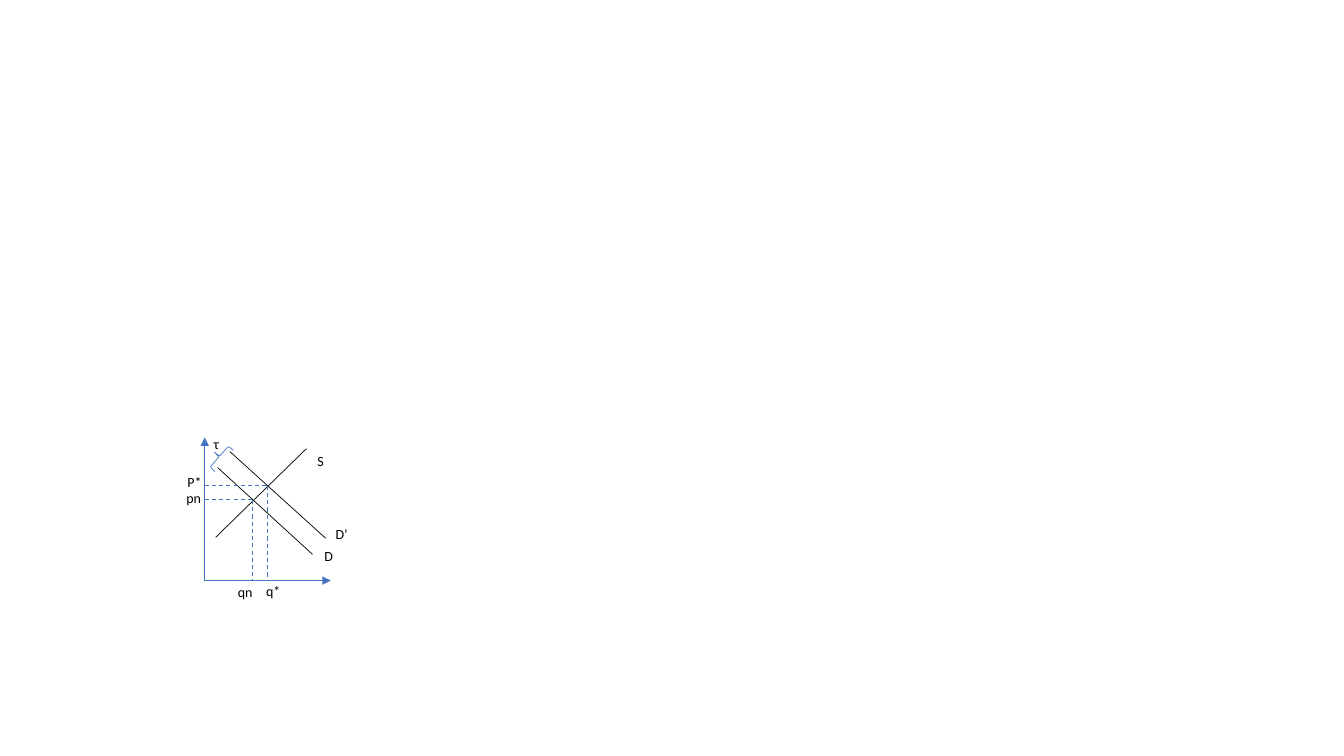
from lxml import etree
from pptx import Presentation
from pptx import util as u
from pptx.dml.color import RGBColor
from pptx.enum import dml, shapes, text
from pptx.oxml.ns import qn

COLORS = {"blue": "4472C4", "black": "000000"}

presentation = Presentation()
presentation.slide_width = u.Inches(13.33)
presentation.slide_height = u.Inches(7.5)
slide = presentation.slides.add_slide(presentation.slide_layouts[6])
diagram = slide.shapes.add_group_shape().shapes


def add_label(words, left, top, width, height, size=10, font="Calibri", color="black"):
    box = diagram.add_textbox(*[u.Inches(length) for length in (left, top, width, height)])
    frame = box.text_frame
    frame.word_wrap = True
    frame.auto_size = text.MSO_AUTO_SIZE.SHAPE_TO_FIT_TEXT
    run = frame.paragraphs[0].add_run()
    run.text = words
    run.font.size = u.Pt(size)
    run.font.name = font
    run.font.color.rgb = RGBColor.from_string(COLORS[color])


axis_x, axis_y = 2.03, 5.76
q_new, p_new = 2.5, 4.96
q_star, p_star = 2.65, 4.82

axes = [
    (axis_x, axis_y, axis_x, 4.34),
    (axis_x, axis_y, 3.28, axis_y),
]
curves = [
    (2.16, 4.64, 3.1, 5.5),
    (2.14, 5.33, 3.04, 4.45),
    (2.28, 4.48, 3.23, 5.34),
]
guides = [
    (axis_x, p_star, q_star, p_star),
    (axis_x, p_new, q_new, p_new),
    (q_new, p_new, q_new, axis_y),
    (q_star, p_star, q_star, axis_y),
]
line_styles = [
    (axes, "blue", 0.5, False, True),
    (curves, "black", 0.5, False, False),
    (guides, "blue", 0.75, True, False),
]
for segments, color, weight, dashed, arrow in line_styles:
    for segment in segments:
        connector = diagram.add_connector(
            shapes.MSO_CONNECTOR.STRAIGHT, *[u.Inches(length) for length in segment]
        )
        connector.line.color.rgb = RGBColor.from_string(COLORS[color])
        connector.line.width = u.Pt(weight)
        if dashed:
            connector.line.dash_style = dml.MSO_LINE.DASH
        if arrow:
            etree.SubElement(connector.line._get_or_add_ln(), qn("a:tailEnd"), type="triangle")
        etree.SubElement(connector._element.spPr, qn("a:effectLst"))

tax_brace = diagram.add_shape(
    shapes.MSO_SHAPE.LEFT_BRACE, u.Inches(2.11), u.Inches(4.39), u.Inches(0.13), u.Inches(0.28)
)
tax_brace.rotation = 41.5
tax_brace.shadow.inherit = False
tax_brace.fill.background()
tax_brace.line.color.rgb = RGBColor.from_string(COLORS["blue"])
tax_brace.line.width = u.Pt(0.5)

labels = [
    ("S", 3.05, 4.44, 0.25, 0.19),
    ("D", 3.12, 5.38, 0.56, 0.19),
    ("D’", 3.23, 5.16, 0.56, 0.19),
    ("τ", 2.02, 4.27, 0.25, 0.19),
    ("pn", 1.75, 4.81, 0.49, 0.27),
    ("P*", 1.76, 4.65, 0.67, 0.27),
    ("qn", 2.26, 5.74, 0.42, 0.27),
    ("q*", 2.54, 5.73, 0.42, 0.27),
]
for label in labels:
    add_label(*label)

presentation.save("out.pptx")
